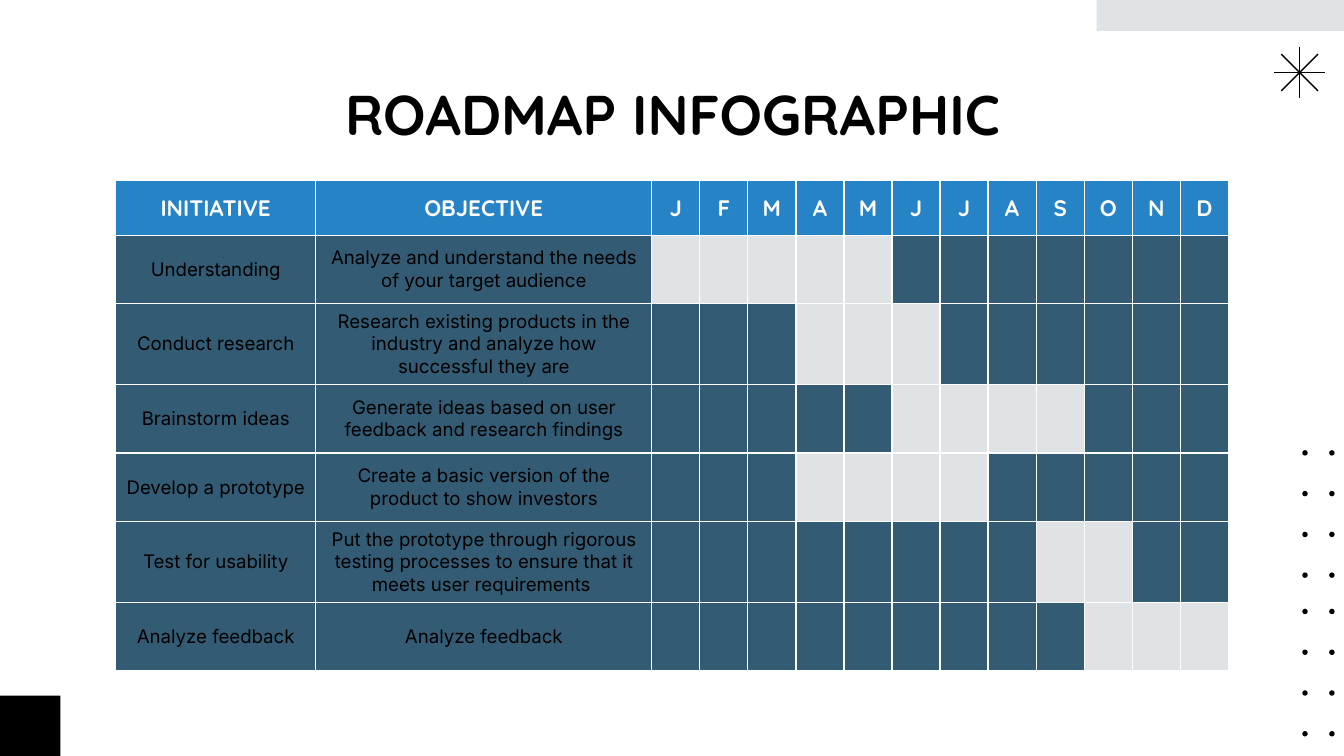
from pptx import Presentation
from pptx import util as u
from pptx.dml.color import RGBColor
from pptx.enum import shapes, text
from pptx.oxml import parse_xml
from pptx.oxml.ns import nsdecls, qn
from lxml import etree

WIDTH, HEIGHT = 10, 10 * 9 / 16
BLACK, WHITE, GRAY = "000000", "FFFFFF", "DFE3E5"
BLUE, SLATE = "2683C6", "335B74"
MONTHS = "JFMAMJJASOND"
INITIATIVES = [
    ("Understanding", "Analyze and understand the needs of your target audience", 1, 5, 0.51),
    ("Conduct research", "Research existing products in the industry and analyze how successful they are", 4, 6, 0.6),
    ("Brainstorm ideas", "Generate ideas based on user feedback and research findings", 6, 9, 0.51),
    ("Develop a prototype", "Create a basic version of the product to show investors", 4, 7, 0.51),
    ("Test for usability", "Put the prototype through rigorous testing processes to ensure that it meets user requirements ", 9, 10, 0.6),
    ("Analyze feedback", "Analyze feedback", 10, 12, 0.51),
]


def color(value):
    return RGBColor.from_string(value)


def write(tf, words, size=10, font="Inter", ink=BLACK, bold=False):
    tf.word_wrap = True
    p = tf.paragraphs[0]
    p.alignment = text.PP_ALIGN.CENTER
    r = p.add_run()
    r.text = words
    r.font.size = u.Pt(size)
    r.font.name = font
    r.font.bold = bold
    r.font.color.rgb = color(ink)


def add_block(s, kind, x, y, w, h, fill):
    sp = s.shapes.add_shape(kind, *map(u.Inches, (x, y, w, h)))
    sp.shadow.inherit = False
    sp.fill.solid()
    sp.fill.fore_color.rgb = color(fill)
    sp.line.fill.background()


def add_line(s, x1, y1, x2, y2):
    sp = s.shapes.add_connector(shapes.MSO_CONNECTOR.STRAIGHT, *map(u.Inches, (x1, y1, x2, y2)))
    sp.line.color.rgb = color(BLACK)
    sp.line.width = u.Pt(0.75)
    etree.SubElement(sp._element.spPr, qn("a:effectLst"))


def add_star(s, x, y, size):
    cx, cy, r = x + size / 2, y + size / 2, size / 2
    d = r * 0.72
    for dx, dy in ((d, d), (-d, d), (0, r), (r, 0)):
        add_line(s, cx - dx, cy - dy, cx + dx, cy + dy)


def add_dots(s, x, y, w, h, rows=4, size=0.04):
    for row in range(rows):
        for col in range(2):
            add_block(s, shapes.MSO_SHAPE.OVAL, x + col * (w - size),
                      y + row * (h - size) / (rows - 1), size, size, BLACK)


def add_decor(s, w, h):
    add_star(s, w - 0.52, 0.35, 0.38)
    add_block(s, shapes.MSO_SHAPE.RECTANGLE, 0, h - 0.45, 0.45, 0.45, BLACK)
    add_block(s, shapes.MSO_SHAPE.RECTANGLE, w - 1.84, 0, 1.84, 0.23, GRAY)
    for y in (3.35, 4.53):
        add_dots(s, w - 0.31, y, 0.24, 0.95)


def add_title(s, x, y, w, h, words):
    sp = s.shapes.add_textbox(*map(u.Inches, (x, y, w, h)))
    tf = sp.text_frame
    tf.margin_left = tf.margin_right = tf.margin_top = tf.margin_bottom = u.Inches(0.1)
    write(tf, words, size=30, font="Quicksand", bold=True)


def style_cell(cell, fill, inset):
    cell.vertical_anchor = text.MSO_ANCHOR.MIDDLE
    cell.margin_left = cell.margin_right = u.Inches(inset)
    cell.margin_top = cell.margin_bottom = u.Inches(inset)
    tcPr = cell._tc.get_or_add_tcPr()
    for side in ("lnL", "lnR", "lnT", "lnB"):
        tcPr.append(parse_xml(
            f'<a:{side} {nsdecls("a")} w="{u.Pt(0.75)}"><a:solidFill>'
            f'<a:srgbClr val="{WHITE}"/></a:solidFill></a:{side}>'))
    cell.fill.solid()
    cell.fill.fore_color.rgb = color(fill)


def add_roadmap(s, x, y, w):
    heights = [0.41] + [item[-1] for item in INITIATIVES]
    labels = [1.49, 2.5]
    widths = labels + [(w - sum(labels)) / len(MONTHS)] * len(MONTHS)
    table = s.shapes.add_table(len(heights), len(widths),
                               *map(u.Inches, (x, y, w, sum(heights)))).table
    for row, height in zip(table.rows, heights):
        row.height = u.Inches(height)
    for column, width in zip(table.columns, widths):
        column.width = u.Inches(width)
    for col, label in enumerate(["INITIATIVE", "OBJECTIVE", *MONTHS]):
        cell = table.cell(0, col)
        style_cell(cell, BLUE, 0)
        write(cell.text_frame, label, size=12, font="Quicksand", ink=WHITE, bold=True)
    for row, (initiative, objective, start, end, _) in enumerate(INITIATIVES, 1):
        for col, words in enumerate((initiative, objective)):
            cell = table.cell(row, col)
            style_cell(cell, SLATE, 0.05)
            write(cell.text_frame, words)
        for month in range(1, len(MONTHS) + 1):
            style_cell(table.cell(row, month + 1), GRAY if start <= month <= end else SLATE, 0.05)


def main():
    prs = Presentation()
    prs.slide_width, prs.slide_height = u.Inches(WIDTH), u.Inches(HEIGHT)
    s = prs.slides.add_slide(prs.slide_layouts[6])
    add_decor(s, WIDTH, HEIGHT)
    add_title(s, 0.79, 0.49, 8.43, 0.63, "ROADMAP INFOGRAPHIC")
    add_roadmap(s, 0.86, 1.34, 8.28)
    prs.save("out.pptx")


if __name__ == "__main__":
    main()
